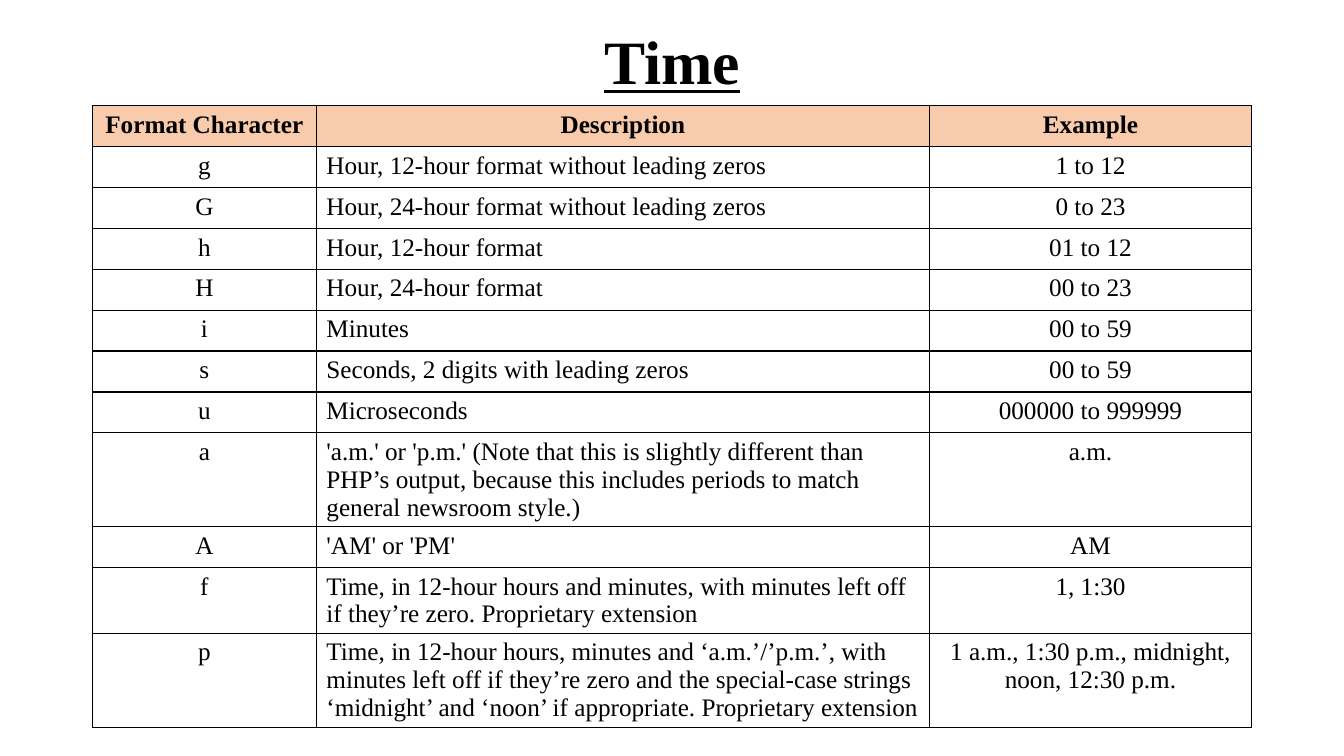
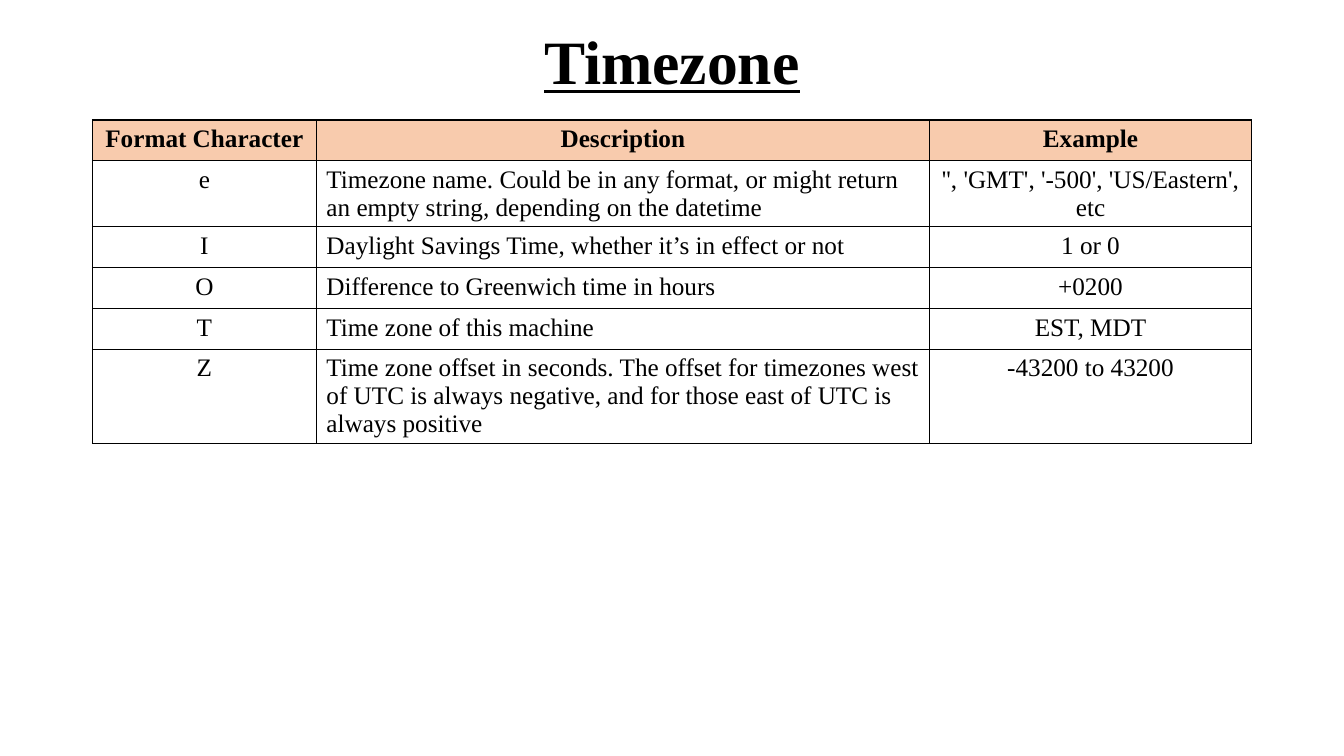
from dataclasses import dataclass

from lxml import etree
from pptx import Presentation
from pptx.dml.color import RGBColor
from pptx.enum import text
from pptx.oxml import ns
from pptx.util import Pt

HEADER = ("Format Character", "Description", "Example")
SLIDES = [
    {
        "title": "Time",
        "top": 75.6,
        "rows": [
            ("g", "Hour, 12-hour format without leading zeros", "1 to 12"),
            ("G", "Hour, 24-hour format without leading zeros", "0 to 23"),
            ("h", "Hour, 12-hour format", "01 to 12"),
            ("H", "Hour, 24-hour format", "00 to 23"),
            ("i", "Minutes", "00 to 59"),
            ("s", "Seconds, 2 digits with leading zeros", "00 to 59"),
            ("u", "Microseconds", "000000 to 999999"),
            ("a", "'a.m.' or 'p.m.' (Note that this is slightly different than "
                  "PHP’s output, because this includes periods to match "
                  "general newsroom style.)", "a.m."),
            ("A", "'AM' or 'PM'", "AM"),
            ("f", "Time, in 12-hour hours and minutes, with minutes left off "
                  "if they’re zero. Proprietary extension", "1, 1:30"),
            ("p", "Time, in 12-hour hours, minutes and ‘a.m.’/’p.m.’, with "
                  "minutes left off if they’re zero and the special-case strings "
                  "‘midnight’ and ‘noon’ if appropriate. Proprietary extension",
             "1 a.m., 1:30 p.m., midnight, noon, 12:30 p.m."),
        ],
    },
    {
        "title": "Timezone",
        "top": 85.7,
        "rows": [
            ("e", "Timezone name. Could be in any format, or might return "
                  "an empty string, depending on the datetime",
             "'', 'GMT', '-500', 'US/Eastern', etc"),
            ("I", "Daylight Savings Time, whether it’s in effect or not", "1 or 0"),
            ("O", "Difference to Greenwich time in hours", "+0200"),
            ("T", "Time zone of this machine", "EST, MDT"),
            ("Z", "Time zone offset in seconds. The offset for timezones west "
                  "of UTC is always negative, and for those east of UTC is "
                  "always positive", "-43200 to 43200"),
        ],
    },
]


@dataclass(frozen=True)
class Theme:
    font: str = "Times New Roman"
    ink: str = "000000"
    paper: str = "FFFFFF"
    header: str = "F8CBAD"
    title_size: float = 44
    cell_size: float = 18
    border: float = 1


theme = Theme()
CENTER, LEFT = text.PP_ALIGN.CENTER, text.PP_ALIGN.LEFT
ALIGNS = (CENTER, LEFT, CENTER)
COLUMNS = (160, 438, 230)
ROW_HEIGHT = 29.2
MARGIN = 66
WIDTH = sum(COLUMNS)
TITLE_BOX = {"left": MARGIN, "top": 7.2, "width": WIDTH, "height": 78.5}


def write(tf, words, align, **formats):
    p = tf.paragraphs[0]
    p.alignment = align
    r = p.add_run()
    r.text = words
    r.font.color.rgb = RGBColor.from_string(theme.ink)
    for name, value in {"name": theme.font, **formats}.items():
        setattr(r.font, name, value)
    return p


def add_title(slide, words):
    sp = slide.shapes.title
    for side, points in TITLE_BOX.items():
        setattr(sp, side, Pt(points))
    tf = sp.text_frame
    tf.auto_size = text.MSO_AUTO_SIZE.NONE
    tf.vertical_anchor = text.MSO_ANCHOR.MIDDLE
    p = write(tf, words, CENTER, size=Pt(theme.title_size), bold=True, underline=True)
    p.line_spacing = 0.9


def add_borders(cell):
    props = cell._tc.get_or_add_tcPr()
    for side in ("lnL", "lnR", "lnT", "lnB"):
        line = etree.SubElement(props, ns.qn(f"a:{side}"), w=str(Pt(theme.border)))
        fill = etree.SubElement(line, ns.qn("a:solidFill"))
        etree.SubElement(fill, ns.qn("a:srgbClr"), val=theme.ink)


def add_grid(slide, top, rows):
    rows = [HEADER, *rows]
    table = slide.shapes.add_table(
        len(rows), len(COLUMNS), Pt(MARGIN), Pt(top), Pt(WIDTH), Pt(ROW_HEIGHT * len(rows))
    ).table
    table.first_row = table.horz_banding = False
    for column, width in zip(table.columns, COLUMNS):
        column.width = Pt(width)
    for i, row in enumerate(rows):
        table.rows[i].height = Pt(ROW_HEIGHT)
        is_header = i == 0
        for j, words in enumerate(row):
            cell = table.cell(i, j)
            add_borders(cell)
            cell.fill.solid()
            cell.fill.fore_color.rgb = RGBColor.from_string(
                theme.header if is_header else theme.paper
            )
            align = CENTER if is_header else ALIGNS[j]
            write(cell.text_frame, words, align, size=Pt(theme.cell_size), bold=is_header)


prs = Presentation()
prs.slide_width, prs.slide_height = Pt(960), Pt(540)
title_only = prs.slide_layouts.get_by_name("Title Only")
for content in SLIDES:
    slide = prs.slides.add_slide(title_only)
    add_title(slide, content["title"])
    add_grid(slide, content["top"], content["rows"])
prs.save("out.pptx")
